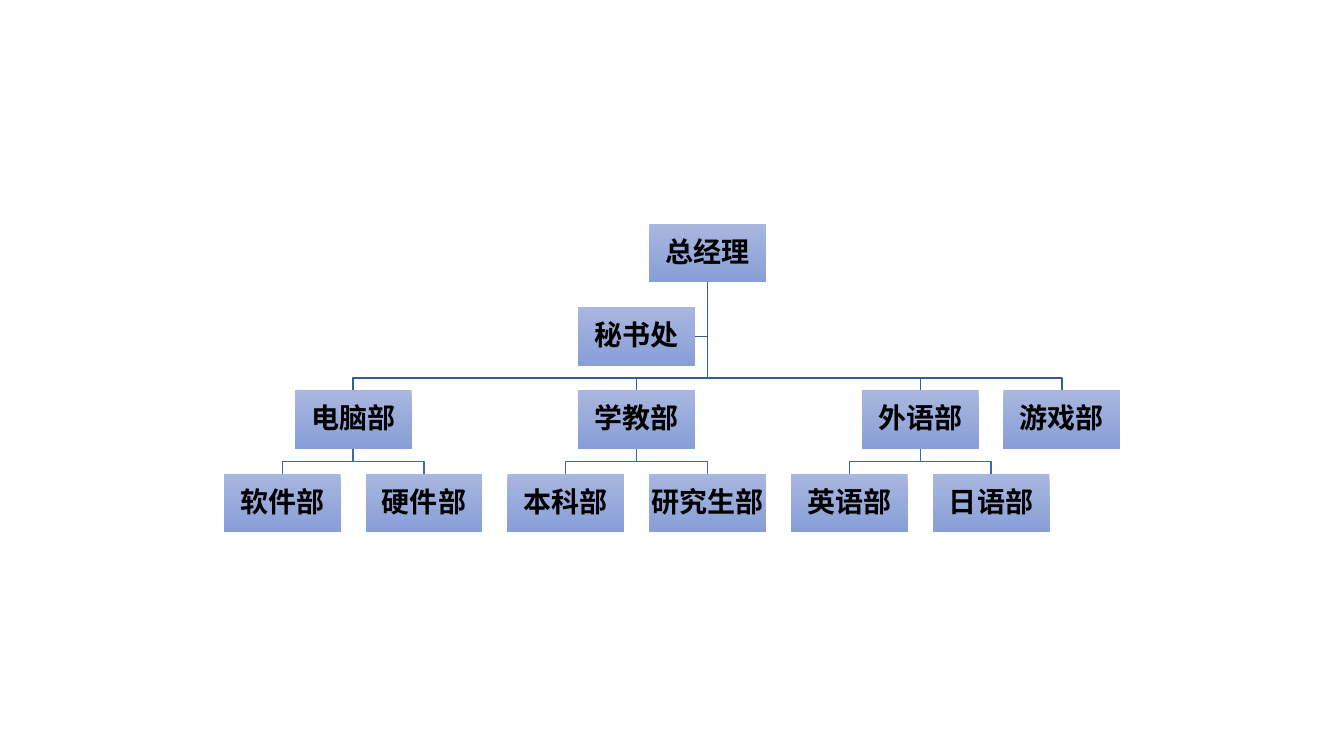
from lxml import etree
from pptx import Presentation
from pptx import util as u
from pptx.dml.color import RGBColor
from pptx.enum import shapes, text
from pptx.oxml import ns

FONT = "Noto Sans CJK SC"
BLACK = RGBColor(0x00, 0x00, 0x00)
BOX_TOP = RGBColor(0xA8, 0xB7, 0xDF)
BOX_BOTTOM = RGBColor(0x88, 0x9E, 0xD7)
MAIN_LINE = RGBColor(0x36, 0x5B, 0x9D)
TEAM_LINE = RGBColor(0x3E, 0x67, 0xB2)

BOX_W, BOX_H = 1.16, 0.58
FIRST_X, LAST_X = 2.8, 9.83
FIRST_Y, LAST_Y = 2.22, 4.7
COL = (LAST_X - FIRST_X) / 5
ROW = (LAST_Y - FIRST_Y) / 3
HALF_GAP = (ROW - BOX_H) / 2

MANAGER = ("总经理", 3, 0)
OFFICE = ("秘书处", 2.5, 1)
DEPARTMENTS = [
    ("电脑部", 0.5, ["软件部", "硬件部"]),
    ("学教部", 2.5, ["本科部", "研究生部"]),
    ("外语部", 4.5, ["英语部", "日语部"]),
    ("游戏部", 5.5, []),
]


def center_x(col):
    return FIRST_X + col * COL


def top_y(row):
    return FIRST_Y + row * ROW


class OrgChart:
    def __init__(self, slide):
        self.s = slide

    def box(self, label, col, row):
        sp = self.s.shapes.add_shape(
            shapes.MSO_SHAPE.RECTANGLE,
            u.Inches(center_x(col) - BOX_W / 2), u.Inches(top_y(row)),
            u.Inches(BOX_W), u.Inches(BOX_H))
        sp.shadow.inherit = False
        sp.line.fill.background()
        sp.fill.gradient()
        sp.fill.gradient_angle = 270
        for stop, color, position in zip(sp.fill.gradient_stops, (BOX_TOP, BOX_BOTTOM), (0, 1)):
            stop.color.rgb = color
            stop.position = position
        tf = sp.text_frame
        tf.word_wrap = True
        tf.vertical_anchor = text.MSO_ANCHOR.MIDDLE
        tf.margin_left = tf.margin_right = tf.margin_top = tf.margin_bottom = u.Inches(0.01)
        p = tf.paragraphs[0]
        p.text = label
        p.alignment = text.PP_ALIGN.CENTER
        p.line_spacing = 0.9
        p.font.size = u.Pt(20)
        p.font.bold = True
        p.font.color.rgb = BLACK
        p.font.name = FONT
        latin = p._p.find(".//" + ns.qn("a:latin"))
        ea = etree.Element(ns.qn("a:ea"), typeface=FONT)
        latin.addnext(ea)

    def elbow(self, points, color):
        start, *rest = [(u.Inches(x), u.Inches(y)) for x, y in points]
        builder = self.s.shapes.build_freeform(*start)
        builder.add_line_segments(rest, close=False)
        sp = builder.convert_to_shape()
        sp.shadow.inherit = False
        sp.fill.background()
        sp.line.color.rgb = color
        sp.line.width = u.Pt(1)

    def branch(self, col, row, child_col, child_row, color):
        x, child_x = center_x(col), center_x(child_col)
        child_y = top_y(child_row)
        bend = child_y - HALF_GAP
        self.elbow([(x, top_y(row) + BOX_H), (x, bend), (child_x, bend), (child_x, child_y)], color)

    def side_branch(self, col, row, child_col, child_row):
        x, y = center_x(col), top_y(child_row) + BOX_H / 2
        self.elbow([(x, top_y(row) + BOX_H), (x, y), (center_x(child_col) + BOX_W / 2, y)], MAIN_LINE)


prs = Presentation()
prs.slide_width, prs.slide_height = u.Inches(13.33), u.Inches(7.5)
chart = OrgChart(prs.slides.add_slide(prs.slide_layouts[6]))

boxes = [MANAGER, OFFICE]
chart.side_branch(*MANAGER[1:], *OFFICE[1:])
for name, col, teams in DEPARTMENTS:
    boxes.append((name, col, 2))
    chart.branch(*MANAGER[1:], col, 2, MAIN_LINE)
    for i, team in enumerate(teams):
        team_col = col - 0.5 + i
        boxes.append((team, team_col, 3))
        chart.branch(col, 2, team_col, 3, TEAM_LINE)
for label, col, row in boxes:
    chart.box(label, col, row)

prs.save("out.pptx")
